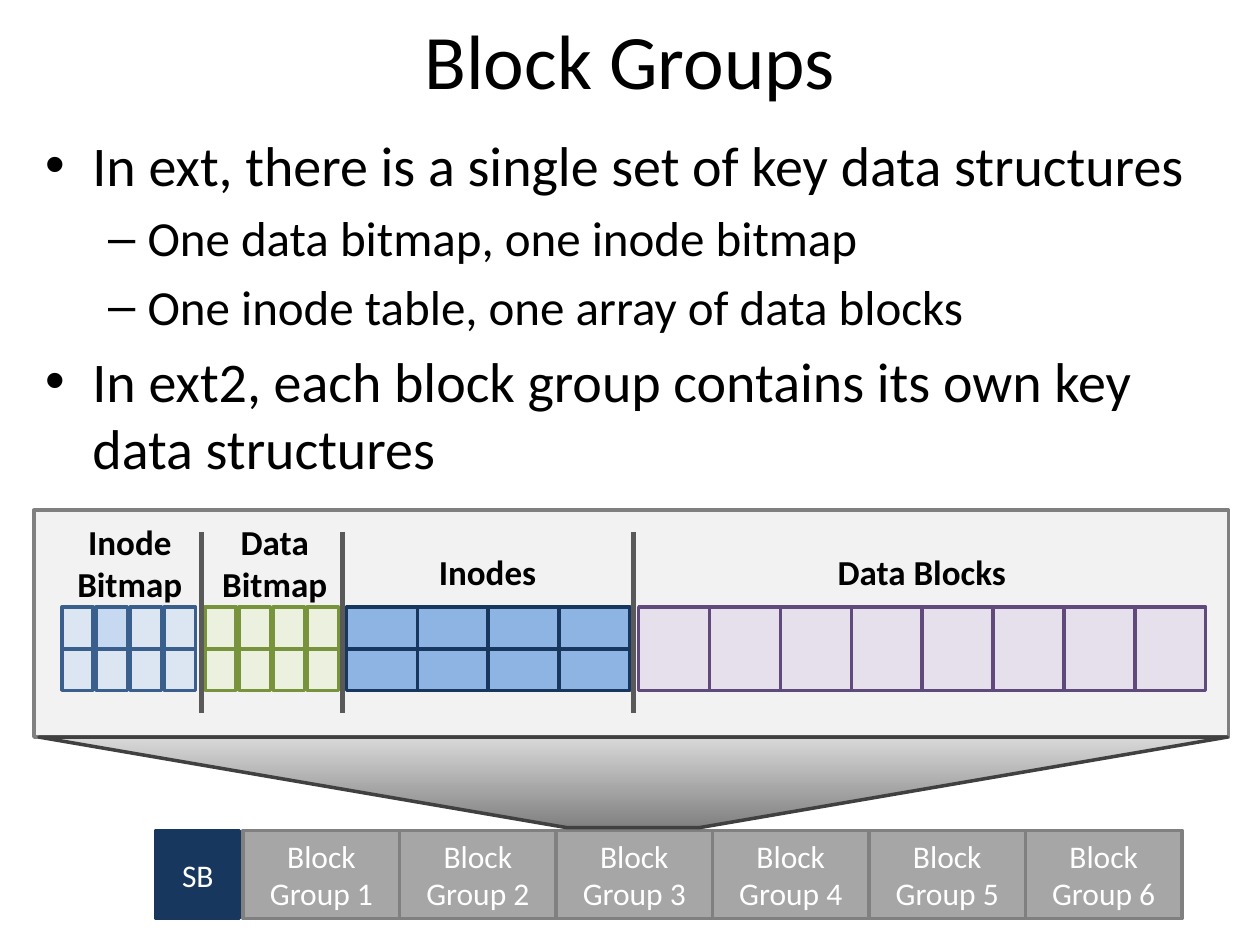
"""Build the Block Groups slide about ext and ext2 data structures."""
from lxml.etree import SubElement
from pptx import Presentation
from pptx.dml.color import RGBColor
from pptx.enum.shapes import MSO_CONNECTOR, MSO_SHAPE
from pptx.enum.text import MSO_ANCHOR as Anchor, PP_ALIGN as Align
from pptx.oxml.ns import qn
from pptx.util import Pt

COLORS = {
    "black": "000000", "white": "FFFFFF", "navy": "17375E",
    "panel": "F2F2F2", "gray": "808080", "silver": "A6A6A6",
    "pale": "D9D9D9", "charcoal": "404040", "divider": "595959",
    "ice": "DCE6F2", "marked": "C6D9F1", "steel": "3A5F8C",
    "lime": "EBF1DE", "olive": "77933C", "sky": "8EB4E3",
    "lilac": "E6E0EC", "purple": "604A7B",
}


def add_box(shapes, left, top, width, height, fill, line, kind=MSO_SHAPE.RECTANGLE):
    box = shapes.add_shape(kind, Pt(left), Pt(top), Pt(width), Pt(height))
    box.shadow.inherit = False
    box.fill.solid()
    box.fill.fore_color.rgb = RGBColor.from_string(COLORS[fill])
    box.line.color.rgb = RGBColor.from_string(COLORS[line])
    box.line.width = Pt(2)
    return box


def add_text(para, text, size, color="black", bold=False, align=Align.CENTER):
    para.alignment = align
    span = para.add_run()
    span.text = text
    span.font.name = "Calibri"
    span.font.size = Pt(size)
    span.font.bold = bold
    span.font.color.rgb = RGBColor.from_string(COLORS[color])


deck = Presentation()
deck.slide_width, deck.slide_height = Pt(720), Pt(540)
page = deck.slides.add_slide(deck.slide_layouts[5])

title = page.shapes.title
title.left, title.top, title.width, title.height = Pt(36), Pt(0), Pt(648), Pt(67)
title.text_frame.vertical_anchor = Anchor.MIDDLE
add_text(title.text_frame.paragraphs[0], "Block Groups", 44)

body = page.shapes.add_textbox(Pt(18.7), Pt(71.3), Pt(683.3), Pt(213.8))
body.text_frame.word_wrap = True
points = [
    (0, "In ext, there is a single set of key data structures"),
    (1, "One data bitmap, one inode bitmap"),
    (1, "One inode table, one array of data blocks"),
    (0, "In ext2, each block group contains its own key data structures"),
]
levels = [("•", 32, 27, 27), ("–", 28, 58.5, 22.5)]
for index, (level, text) in enumerate(points):
    bullet, size, margin, hanging = levels[level]
    para = body.text_frame.paragraphs[0] if index == 0 else body.text_frame.add_paragraph()
    para.level = level
    para.space_before = Pt(size * 0.2)
    add_text(para, text, size, align=Align.LEFT)
    props = para._p.get_or_add_pPr()
    props.set("marL", str(Pt(margin)))
    props.set("indent", str(-Pt(hanging)))
    SubElement(props, qn("a:buFont")).set("typeface", "Arial")
    SubElement(props, qn("a:buChar")).set("char", bullet)

group = page.shapes.add_group_shape().shapes
add_box(group, 19.4, 291.6, 682.6, 129.6, "panel", "gray")

grid_top, grid_height = 347, 47.5
sections = [
    (35.3, 19.5, 18, 4, 2, "ice", "steel"),
    (117, 19.5, 18, 4, 2, "lime", "olive"),
    (198, 40.5, 40.5, 4, 2, "sky", "navy"),
    (365, 40.5, 40.5, 8, 1, "lilac", "purple"),
]
for left, pitch, width, columns, rows, fill, line in sections:
    height = grid_height / rows
    for row in range(rows):
        for column in range(columns):
            shade = "marked" if (fill, row, column) == ("ice", 0, 1) else fill
            add_box(group, left + column * pitch, grid_top + row * height,
                    width, height, shade, line)

labels = [
    (74.2, 293.8, 75, ["Inode", "Bitmap"]),
    (157, 293.8, 75, ["Data", "Bitmap"]),
    (278.6, 311, 70.6, ["Inodes"]),
    (526.7, 311, 111.6, ["Data Blocks"]),
]
for center, top, width, lines in labels:
    label = group.add_textbox(Pt(center - width / 2), Pt(top), Pt(width), Pt(24 * len(lines)))
    label.text_frame.word_wrap = False
    for index, text in enumerate(lines):
        para = label.text_frame.paragraphs[0] if index == 0 else label.text_frame.add_paragraph()
        add_text(para, text, 20, bold=True)

for x in (115.2, 195.8, 362.2):
    divider = group.add_connector(MSO_CONNECTOR.STRAIGHT, Pt(x), Pt(303.8), Pt(x), Pt(407.5))
    divider.line.color.rgb = RGBColor.from_string(COLORS["divider"])
    divider.line.width = Pt(3)
    SubElement(divider._element.spPr, qn("a:effectLst"))

blocks = [(89.3, 47.5, "SB", "navy", "navy")]
blocks += [(139 + 89.4 * index, 89.4, f"Block Group {index + 1}", "silver", "gray")
           for index in range(6)]
for left, width, text, fill, line in blocks:
    block = add_box(page.shapes, left, 474.5, width, 50.4, fill, line)
    block.text_frame.word_wrap = True
    block.text_frame.vertical_anchor = Anchor.MIDDLE
    add_text(block.text_frame.paragraphs[0], text, 18, "white")

funnel = add_box(page.shapes, 22.3, 421.2, 679, 51.8, "gray", "charcoal", MSO_SHAPE.TRAPEZOID)
funnel.rotation = 180
funnel.adjustments[0] = 5.83
funnel.fill.gradient()
funnel.fill.gradient_angle = 270
for stop, color in zip(funnel.fill.gradient_stops, ("gray", "pale")):
    stop.color.rgb = RGBColor.from_string(COLORS[color])

deck.save("out.pptx")
